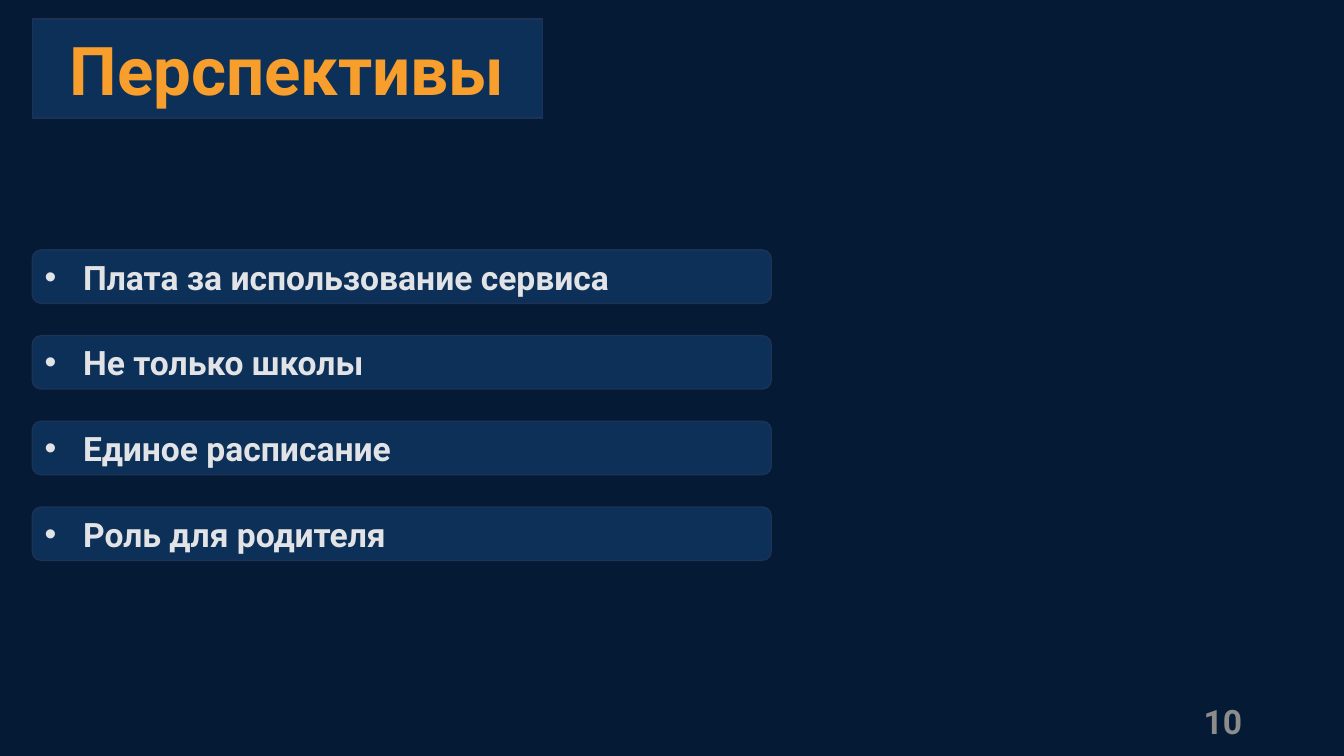
import pptx
import pptx.dml.color
import pptx.enum.shapes
import pptx.enum.text
import pptx.oxml.ns
import pptx.util
from lxml import etree
from pptx.util import Inches

FONT = "Roboto"
PANEL_FILL = "0C3057"
PANEL_LINE = "1E3256"
PANEL_LEFT = 0.32
PROSPECTS = [
    "Плата за использование сервиса",
    "Не только школы",
    "Единое расписание",
    "Роль для родителя",
]
FIRST_TOP = 2.48
ROW_STEP = 0.85


def color(value):
    return pptx.dml.color.RGBColor.from_string(value)


def style_panel(shape):
    shape.fill.solid()
    shape.fill.fore_color.rgb = color(PANEL_FILL)
    shape.line.color.rgb = color(PANEL_LINE)
    shape.line.width = pptx.util.Pt(1)


def write_text(shape, text, size, text_color, alignment):
    frame = shape.text_frame
    frame.word_wrap = True
    frame.auto_size = pptx.enum.text.MSO_AUTO_SIZE.NONE
    frame.vertical_anchor = pptx.enum.text.MSO_ANCHOR.MIDDLE
    paragraph = frame.paragraphs[0]
    paragraph.alignment = alignment
    run = paragraph.add_run()
    run.text = text
    run.font.name = FONT
    run.font.size = pptx.util.Pt(size)
    run.font.bold = True
    run.font.color.rgb = color(text_color)
    return paragraph


def add_bullet(paragraph):
    properties = paragraph._p.get_or_add_pPr()
    properties.set("marL", str(Inches(0.38)))
    properties.set("indent", str(Inches(-0.38)))
    font = etree.SubElement(properties, pptx.oxml.ns.qn("a:buFont"))
    font.set("typeface", "Arial")
    bullet = etree.SubElement(properties, pptx.oxml.ns.qn("a:buChar"))
    bullet.set("char", "•")


def format_title(slide, text):
    title = slide.shapes.title
    title.left, title.top = Inches(PANEL_LEFT), Inches(0.19)
    title.width, title.height = Inches(5.06), Inches(0.98)
    geometry = etree.SubElement(title._element.spPr, pptx.oxml.ns.qn("a:prstGeom"))
    geometry.set("prst", "roundRect")
    etree.SubElement(geometry, pptx.oxml.ns.qn("a:avLst"))
    style_panel(title)
    write_text(title, text, 48, "F79E2D", pptx.enum.text.PP_ALIGN.CENTER)


def add_prospect(slide, text, top):
    panel = slide.shapes.add_shape(
        pptx.enum.shapes.MSO_SHAPE.ROUNDED_RECTANGLE,
        Inches(PANEL_LEFT), Inches(top), Inches(7.33), Inches(0.53),
    )
    panel.shadow.inherit = False
    style_panel(panel)
    paragraph = write_text(panel, text, 24, "E1E3E6", pptx.enum.text.PP_ALIGN.LEFT)
    add_bullet(paragraph)


def add_page_number(slide, number):
    box = slide.shapes.add_textbox(Inches(9.42), Inches(6.95), Inches(3), Inches(0.4))
    write_text(box, number, 24, "8C8C8C", pptx.enum.text.PP_ALIGN.RIGHT)


def main():
    presentation = pptx.Presentation()
    presentation.slide_width = Inches(13.33)
    presentation.slide_height = Inches(7.5)
    slide = presentation.slides.add_slide(presentation.slide_layouts[5])
    slide.background.fill.solid()
    slide.background.fill.fore_color.rgb = color("051B35")
    format_title(slide, "Перспективы")
    add_page_number(slide, "10")
    for index, text in enumerate(PROSPECTS):
        add_prospect(slide, text, FIRST_TOP + index * ROW_STEP)
    presentation.save("out.pptx")


if __name__ == "__main__":
    main()
